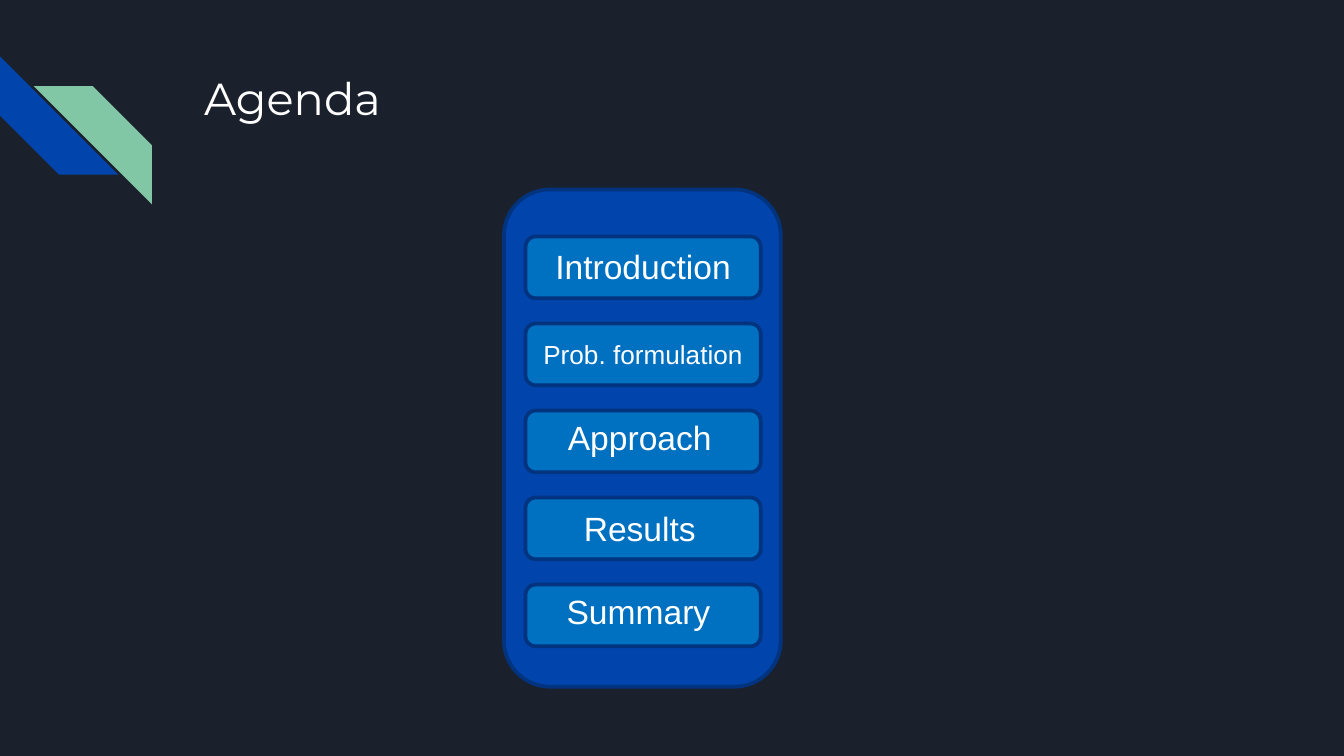
from dataclasses import dataclass

from pptx import Presentation
from pptx.dml.color import RGBColor as RGB
from pptx.enum.shapes import MSO_SHAPE as Shape
from pptx.enum.text import MSO_ANCHOR as Anchor, PP_ALIGN as Align
from pptx.util import Inches, Pt


@dataclass(frozen=True)
class Theme:
    back: RGB = RGB(0x1B, 0x21, 0x2C)
    blue: RGB = RGB(0x01, 0x45, 0xAC)
    green: RGB = RGB(0x82, 0xC7, 0xA5)
    sky: RGB = RGB(0x00, 0x70, 0xC0)
    edge: RGB = RGB(0x01, 0x33, 0x7F)
    white: RGB = RGB(0xFF, 0xFF, 0xFF)
    head: Pt = Pt(24)
    large: Pt = Pt(18)
    small: Pt = Pt(14)
    rule: Pt = Pt(2)


THEME = Theme()
WIDE = Inches(10)
LEFT, WIDTH = 3.91, 1.75
FIRST, LAST = 1.76, 4.35
ITEMS = [
    ("Introduction", THEME.large, 0, 1.78),
    ("Prob. formulation", THEME.small, 0, 2.47),
    ("Approach ", THEME.large, 0.01, 3.05),
    ("Results ", THEME.large, 0.01, 3.73),
    ("Summary ", THEME.large, 0, 4.35),
]


def style(item, form):
    for name, value in form.items():
        setattr(item, name, value)


def add_shape(slide, kind, box, fill):
    shape = slide.shapes.add_shape(kind, *map(Inches, box))
    shape.shadow.inherit = False
    shape.fill.solid()
    shape.fill.fore_color.rgb = fill
    return shape


def add_stripe(slide, left, top, angle, fill):
    shape = add_shape(slide, Shape.DIAGONAL_STRIPE, (left, top, 0.88, 0.88), fill)
    shape.line.fill.background()
    shape.rotation = angle


def add_panel(slide, box, fill):
    shape = add_shape(slide, Shape.ROUNDED_RECTANGLE, box, fill)
    shape.line.color.rgb = THEME.edge
    shape.line.width = THEME.rule


def add_text(slide, box, text, font, size, align, inset=0.05):
    frame = slide.shapes.add_textbox(*map(Inches, box)).text_frame
    style(frame, {
        "word_wrap": True,
        "vertical_anchor": Anchor.TOP,
        "margin_top": Inches(inset),
        "margin_bottom": Inches(inset),
    })
    para = frame.paragraphs[0]
    para.alignment = align
    run = para.add_run()
    run.text = text
    style(run.font, {"name": font, "size": size})
    run.font.color.rgb = THEME.white


def main():
    deck = Presentation()
    style(deck, {"slide_width": WIDE, "slide_height": WIDE * 9 // 16})
    slide = deck.slides.add_slide(deck.slide_layouts[6])
    slide.background.fill.solid()
    slide.background.fill.fore_color.rgb = THEME.back

    add_stripe(slide, 0, 0.42, 270, THEME.blue)
    add_stripe(slide, 0.25, 0.64, 90, THEME.green)
    add_text(slide, (1.42, 0.43, 7.7, 1), "Agenda", "Montserrat",
             THEME.head, Align.LEFT, 0.1)

    add_panel(slide, (3.75, 1.41, 2.06, 3.7), THEME.blue)
    step = (LAST - FIRST) / (len(ITEMS) - 1)
    for row in range(len(ITEMS)):
        add_panel(slide, (LEFT, FIRST + row * step, WIDTH, 0.46), THEME.sky)
    for text, size, shift, top in ITEMS:
        add_text(slide, (LEFT + shift, top, WIDTH, 0.4), text, "Arial",
                 size, Align.CENTER)

    deck.save("out.pptx")


if __name__ == "__main__":
    main()
